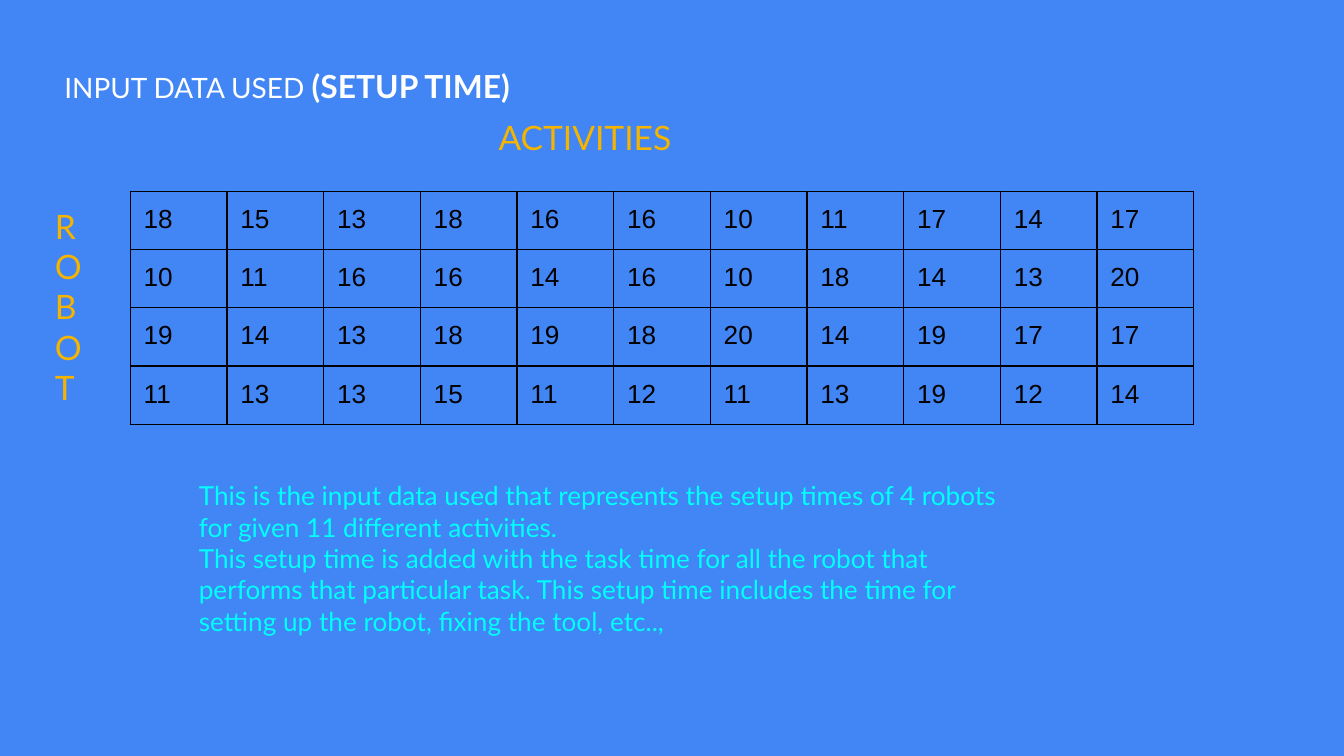
import pptx
import pptx.dml.color
import pptx.enum.text
import pptx.oxml
import pptx.oxml.ns
import pptx.util

Pt = pptx.util.Pt
RGBColor = pptx.dml.color.RGBColor

BLUE = RGBColor(0x42, 0x85, 0xF4)
WHITE = RGBColor(0xFF, 0xFF, 0xFF)
AMBER = RGBColor(0xF4, 0xB4, 0x00)
CYAN = RGBColor(0x00, 0xFF, 0xFF)
BLACK = RGBColor(0x00, 0x00, 0x00)

INSET = Pt(7.2)
COLUMN_WIDTH = 51.8
ROW_HEIGHT = 31.1

SETUP_TIMES = [
    [18, 15, 13, 18, 16, 16, 10, 11, 17, 14, 17],
    [10, 11, 16, 16, 14, 16, 10, 18, 14, 13, 20],
    [19, 14, 13, 18, 19, 18, 20, 14, 19, 17, 17],
    [11, 13, 13, 15, 11, 12, 11, 13, 19, 12, 14],
]

EXPLANATION = [
    "This is the input data used that represents the setup times of 4 robots "
    "for given 11 different activities.",
    "This setup time is added with the task time for all the robot that performs "
    "that particular task. This setup time includes the time for setting up the "
    "robot, fixing the tool, etc..,",
]


def add_run(paragraph, text, size, color, font="Lato", bold=False):
    run = paragraph.add_run()
    run.text = text
    run.font.name = font
    run.font.size = Pt(size)
    run.font.bold = bold
    run.font.color.rgb = color


def add_text(slide, left, top, width, height, paragraphs, color):
    """Add a text box; each paragraph is a list of (text, size, bold) runs."""
    box = slide.shapes.add_textbox(Pt(left), Pt(top), Pt(width), Pt(height))
    frame = box.text_frame
    frame.word_wrap = True
    frame.auto_size = pptx.enum.text.MSO_AUTO_SIZE.SHAPE_TO_FIT_TEXT
    frame.margin_left = frame.margin_right = INSET
    frame.margin_top = frame.margin_bottom = INSET
    for index, runs in enumerate(paragraphs):
        paragraph = frame.add_paragraph() if index else frame.paragraphs[0]
        for text, size, bold in runs:
            add_run(paragraph, text, size, color, bold=bold)


def add_borders(cell):
    properties = cell._tc.get_or_add_tcPr()
    for position, side in enumerate(("lnL", "lnR", "lnT", "lnB")):
        border = pptx.oxml.parse_xml(
            f'<a:{side} {pptx.oxml.ns.nsdecls("a")} w="{Pt(0.75)}">'
            f'<a:solidFill><a:srgbClr val="{BLACK}"/></a:solidFill></a:{side}>'
        )
        properties.insert(position, border)


def add_setup_table(slide, left, top):
    row_count, column_count = len(SETUP_TIMES), len(SETUP_TIMES[0])
    table = slide.shapes.add_table(
        row_count, column_count, Pt(left), Pt(top),
        Pt(COLUMN_WIDTH * column_count), Pt(ROW_HEIGHT * row_count),
    ).table
    table.first_row = table.horz_banding = False
    for column in table.columns:
        column.width = Pt(COLUMN_WIDTH)
    for row, times in zip(table.rows, SETUP_TIMES):
        row.height = Pt(ROW_HEIGHT)
        for cell, time in zip(row.cells, times):
            cell.fill.background()
            cell.margin_left = cell.margin_right = INSET
            cell.margin_top = cell.margin_bottom = INSET
            add_run(cell.text_frame.paragraphs[0], str(time), 14, BLACK, "Arial")
            add_borders(cell)


def main():
    presentation = pptx.Presentation()
    presentation.slide_width, presentation.slide_height = Pt(720), Pt(405)
    slide = presentation.slides.add_slide(presentation.slide_layouts[6])
    slide.background.fill.solid()
    slide.background.fill.fore_color.rgb = BLUE

    title = [("INPUT DATA USED ", 15, False), ("(SETUP TIME)", 17, True)]
    add_text(slide, 27.4, 28.8, 629.3, 35.3, [title], WHITE)
    add_setup_table(slide, 69.8, 102.4)
    robot_letters = [[(letter, 18, False)] for letter in "ROBOT"]
    add_text(slide, 22.3, 103, 26.6, 123.8, robot_letters, AMBER)
    add_text(slide, 260, 55.4, 121, 36, [[("ACTIVITIES", 18, False)]], AMBER)
    explanation = [[(sentence, 14, False)] for sentence in EXPLANATION]
    add_text(slide, 99.4, 249.8, 450, 99.4, explanation, CYAN)

    presentation.save("out.pptx")


if __name__ == "__main__":
    main()
